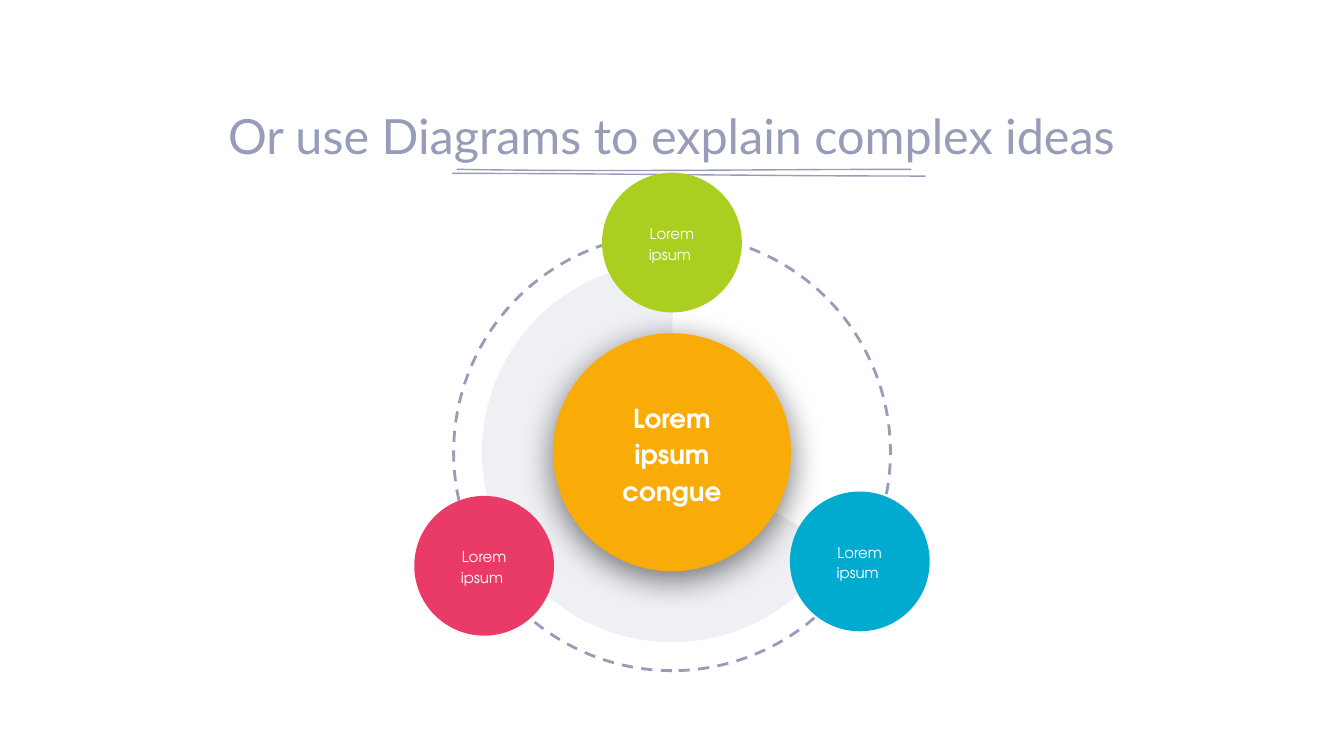
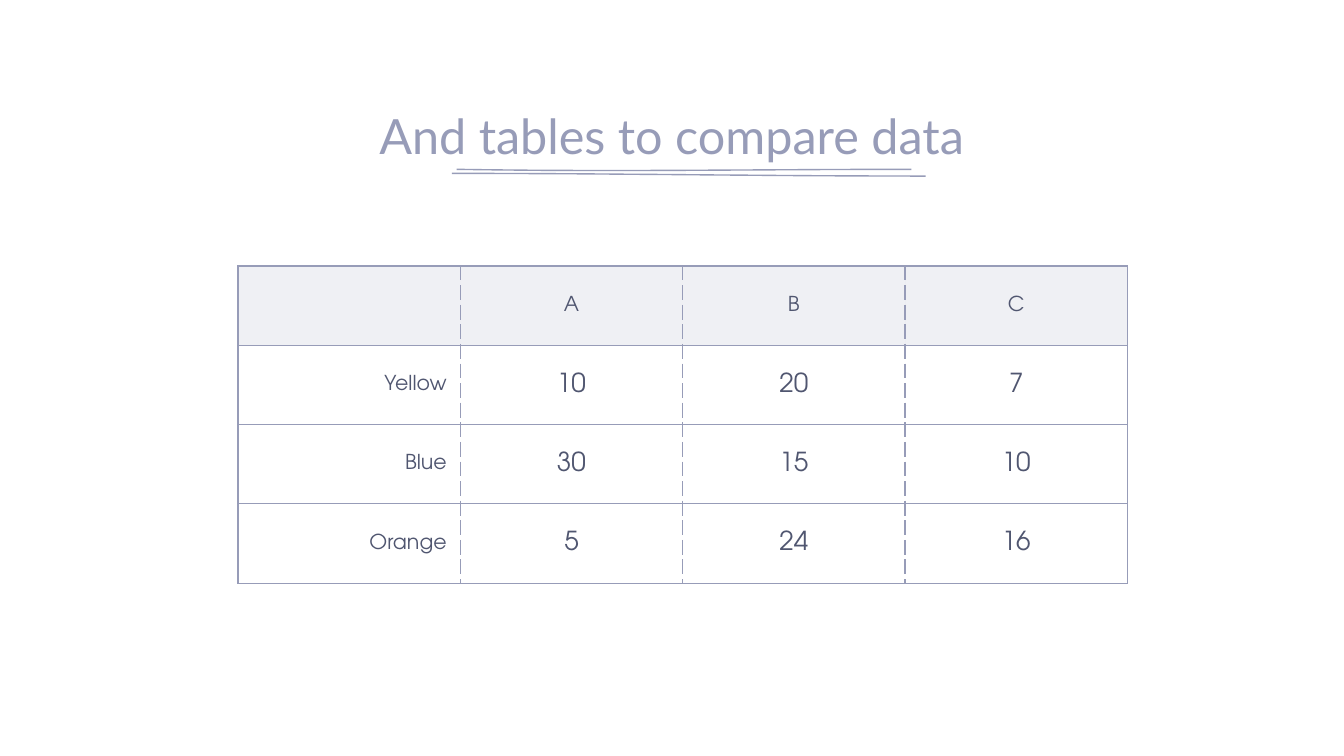
from collections import namedtuple

from lxml import etree
from pptx import Presentation
from pptx.dml.color import RGBColor
from pptx.enum.dml import MSO_LINE
from pptx.enum.shapes import MSO_SHAPE
from pptx.enum.text import MSO_ANCHOR, MSO_AUTO_SIZE, PP_ALIGN
from pptx.oxml.ns import qn
from pptx.util import Inches, Pt

ELLIPSE, PIE, RECTANGLE = MSO_SHAPE.OVAL, MSO_SHAPE.PIE, MSO_SHAPE.RECTANGLE
CENTER, RIGHT = PP_ALIGN.CENTER, PP_ALIGN.RIGHT
MIDDLE, BOTTOM = MSO_ANCHOR.MIDDLE, MSO_ANCHOR.BOTTOM
DASH = MSO_LINE.DASH

# Shared style
TITLE_FONT, BODY_FONT = "Lato", "TeX Gyre Adventor"
LAVENDER, SLATE, WHITE, BLACK = "979CB8", "505670", "FFFFFF", "000000"
ORANGE, GREEN, PINK, BLUE = "F9AC08", "AACF20", "EA3A68", "01ABCF"
TINT = 15  # opacity of pale lavender areas, in percent

# The slide is a grid of 80 columns by 45 rows of square units
COLUMNS, ROWS = 80, 45
UNIT = Inches(10) // COLUMNS

Box = namedtuple("Box", "left top width height")
TITLE_BOX = Box(9, 4.56, 62, 6)
UNDERLINE_BOX = Box(26.9, 10.08, 28.2, 0.4)
DIAGRAM_BOX = Box(27, 13.92, 26, 26)
TABLE_BOX = Box(14.16, 15.84, 52.96, 18.88)

# Control points of the two title strokes, as shares of the underline box
STROKES = [
    [(0.01, 0), (0.33, 0.4), (0.65, 0), (0.97, 0)],
    [(0, 0.6), (0.33, 0.6), (0.67, 1), (1, 1)],
]
STROKE_STEPS = 16

# Satellite colour and centre, as shares of the diagram box
SATELLITES = [(GREEN, 0.5, 0.02), (PINK, 0.07, 0.76), (BLUE, 0.93, 0.75)]

TABLE_ROWS = [
    ["", "A", "B", "C"],
    ["Yellow", "10", "20", "7"],
    ["Blue", "30", "15", "10"],
    ["Orange", "5", "24", "16"],
]


def color(code):
    return RGBColor.from_string(code)


def emu(box):
    return [round(length * UNIT) for length in box]


def centered(box, across, down, width, height):
    """Box of the given shares of a box, centred on a point in it."""
    return Box(box.left + (across - width / 2) * box.width,
               box.top + (down - height / 2) * box.height,
               width * box.width, height * box.height)


def add_span(para, text, font, size, code, bold=False):
    span = para.add_run()
    span.text = text
    span.font.name = font
    span.font.size = Pt(size)
    span.font.bold = bold
    span.font.color.rgb = color(code)


def set_margins(holder, side, edge):
    holder.margin_left = holder.margin_right = Inches(side)
    holder.margin_top = holder.margin_bottom = Inches(edge)


def set_fill(fill, element, code, opacity=100):
    fill.solid()
    fill.fore_color.rgb = color(code)
    if opacity < 100:
        tone = next(element.iter(qn("a:srgbClr")))
        etree.SubElement(tone, qn("a:alpha"), val=str(opacity * 1000))


def add_plain_shape(parent, kind, box, fill=None, opacity=100):
    shape = parent.shapes.add_shape(kind, *emu(box))
    shape.shadow.inherit = False
    shape.line.fill.background()
    if fill:
        set_fill(shape.fill, shape.element, fill, opacity)
    else:
        shape.fill.background()
    return shape


def add_soft_shadow(shape):
    effects = next(shape.element.iter(qn("a:effectLst")))
    shadow = etree.SubElement(
        effects, qn("a:outerShdw"), blurRad=str(Pt(18)), dist=str(Pt(4)),
        dir=str(90 * 60000), algn="bl", rotWithShape="0")
    tone = etree.SubElement(shadow, qn("a:srgbClr"), val=BLACK)
    etree.SubElement(tone, qn("a:alpha"), val="55000")


# Title with its double underline
def bezier_point(controls, t):
    weights = [(1 - t) ** 3, 3 * t * (1 - t) ** 2, 3 * t * t * (1 - t), t ** 3]
    return [sum(w * point[axis] for w, point in zip(weights, controls))
            for axis in (0, 1)]


def add_underline(page, box):
    left, top, width, height = emu(box)
    for controls in STROKES:
        points = [bezier_point(controls, step / STROKE_STEPS)
                  for step in range(STROKE_STEPS + 1)]
        points = [(round(left + x * width), round(top + y * height))
                  for x, y in points]
        builder = page.shapes.build_freeform(*points[0])
        builder.add_line_segments(points[1:], close=False)
        stroke = builder.convert_to_shape()
        stroke.shadow.inherit = False
        stroke.fill.background()
        stroke.line.color.rgb = color(LAVENDER)
        stroke.line.width = Pt(0.75)


def add_titled_page(deck, text):
    page = deck.slides.add_slide(deck.slide_layouts[5])
    title = page.shapes.title
    title.left, title.top, title.width, title.height = emu(TITLE_BOX)
    frame = title.text_frame
    frame.auto_size = MSO_AUTO_SIZE.NONE
    frame.word_wrap = True
    frame.vertical_anchor = BOTTOM
    set_margins(frame, 0.1, 0.1)
    para = frame.paragraphs[0]
    para.alignment = CENTER
    add_span(para, text, TITLE_FONT, 26, LAVENDER)
    add_underline(page, UNDERLINE_BOX)
    return page


# Diagram
def add_disc(page, box, label_share, text, size, fill, main=False):
    group = page.shapes.add_group_shape()
    disc = add_plain_shape(group, ELLIPSE, box, fill)
    if main:
        add_soft_shadow(disc)
    label_box = centered(box, 0.5, 0.5, *label_share)
    frame = add_plain_shape(group, RECTANGLE, label_box, fill).text_frame
    frame.word_wrap = True
    frame.vertical_anchor = MIDDLE
    set_margins(frame, 0.1, 0.1)
    para = frame.paragraphs[0]
    para.alignment = CENTER
    para.line_spacing = 1.15
    add_span(para, text, BODY_FONT, size, WHITE, bold=main)


def add_orbit(page, box):
    group = page.shapes.add_group_shape()
    ring = add_plain_shape(group, ELLIPSE, box)
    ring.rotation = 270
    ring.line.color.rgb = color(LAVENDER)
    ring.line.width = Pt(1.5)
    ring.line.dash_style = DASH
    sector_box = centered(box, 0.5, 0.5, 0.87, 0.87)
    sector = add_plain_shape(group, PIE, sector_box, LAVENDER, TINT)
    sector.adjustments[0] = 18.12
    sector.adjustments[1] = 162.15


def add_diagram(page, box):
    add_orbit(page, box)
    add_disc(page, centered(box, 0.5, 0.5, 0.545, 0.545), (0.74, 0.46),
             "Lorem ipsum congue", 14, ORANGE, main=True)
    for fill, across, down in SATELLITES:
        add_disc(page, centered(box, across, down, 0.32, 0.32), (0.71, 0.68),
                 "Lorem ipsum ", 8, fill)


# Table
def set_borders(cell, dashes):
    """Draw the four borders; dashes names the dashed sides."""
    properties = cell._tc.get_or_add_tcPr()
    for index, side in enumerate("LRTB"):
        line = etree.Element(qn("a:ln" + side), w=str(Pt(0.75)))
        fill = etree.SubElement(line, qn("a:solidFill"))
        etree.SubElement(fill, qn("a:srgbClr"), val=LAVENDER)
        style = "dash" if side in dashes else "solid"
        etree.SubElement(line, qn("a:prstDash"), val=style)
        properties.insert(index, line)


def fill_cell(cell, text, row, column, last_column):
    cell.vertical_anchor = MIDDLE
    set_margins(cell, 0.1, 0.07)
    if row == 0:
        set_fill(cell.fill, cell._tc, LAVENDER, TINT)
    else:
        cell.fill.background()
    set_borders(cell, ("L" if column > 0 else "")
                + ("R" if column < last_column else ""))
    if text:
        para = cell.text_frame.paragraphs[0]
        para.alignment = RIGHT if column == 0 else CENTER
        size = 11 if row == 0 or column == 0 else 14
        add_span(para, text, BODY_FONT, size, SLATE)


def add_comparison_table(page, box):
    row_count, column_count = len(TABLE_ROWS), len(TABLE_ROWS[0])
    table = page.shapes.add_table(row_count, column_count, *emu(box)).table
    table.first_row = table.horz_banding = False
    for row, texts in enumerate(TABLE_ROWS):
        for column, text in enumerate(texts):
            fill_cell(table.cell(row, column), text, row, column,
                      column_count - 1)


def main():
    deck = Presentation()
    deck.slide_width, deck.slide_height = COLUMNS * UNIT, ROWS * UNIT
    page = add_titled_page(deck, "Or use Diagrams to explain complex ideas")
    add_diagram(page, DIAGRAM_BOX)
    page = add_titled_page(deck, "And tables to compare data")
    add_comparison_table(page, TABLE_BOX)
    deck.save("out.pptx")


if __name__ == "__main__":
    main()
